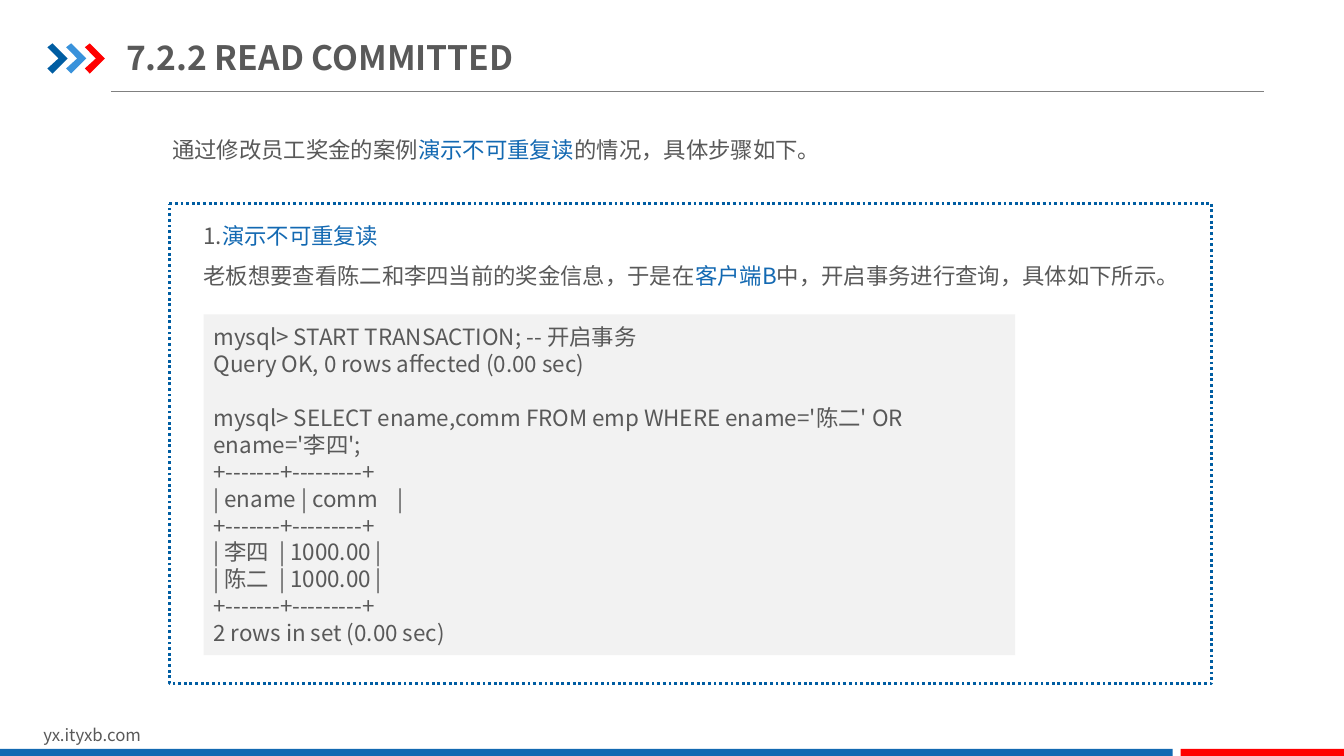
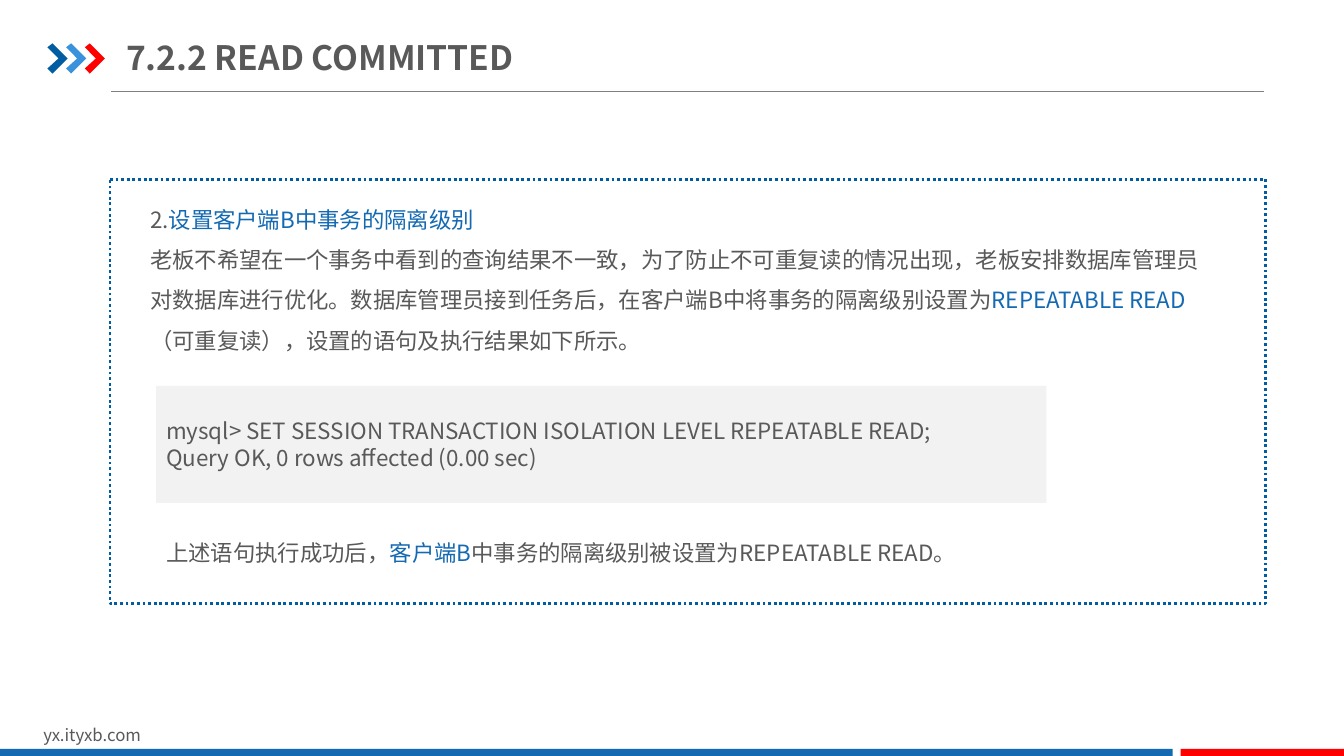
from dataclasses import dataclass

from lxml.etree import SubElement
from pptx import Presentation
from pptx.dml.color import RGBColor
from pptx.enum.dml import MSO_LINE
from pptx.enum.shapes import MSO_CONNECTOR, MSO_SHAPE
from pptx.enum.text import MSO_ANCHOR, MSO_AUTO_SIZE, PP_ALIGN
from pptx.oxml.ns import qn
from pptx.util import Inches, Pt

# Shared look
WIDTH, HEIGHT = Inches(13.33), Inches(7.5)
FONT = "Noto Sans CJK SC"
INK = RGBColor(0x59, 0x59, 0x59)
BLUE = RGBColor(0x13, 0x69, 0xB2)
NAVY = RGBColor(0x00, 0x5D, 0xA2)
SKY = RGBColor(0x39, 0x92, 0xDB)
RED = RGBColor(0xFF, 0x00, 0x00)
GREY = RGBColor(0x80, 0x80, 0x80)
PALE = RGBColor(0xF2, 0xF2, 0xF2)
WHITE = RGBColor(0xFF, 0xFF, 0xFF)
CODE_LINE = Pt(19.3)

TITLE_FORMAT = {"size": Pt(24), "bold": True}
BODY_FORMAT = {"size": Pt(16)}
FOOTER_FORMAT = {"size": Pt(12)}
CHEVRON = [(0, 0.13), (0.25, 0), (1, 0.5), (0.25, 1), (0, 0.83), (0.55, 0.5)]


@dataclass
class Box:
    """A region in percent of the slide's size."""
    left: float
    top: float
    width: float
    height: float

    def inner(self, left, top, width, height):
        """A region inside this one, in percent of its size."""
        return Box(self.left + self.width * left / 100,
                   self.top + self.height * top / 100,
                   self.width * width / 100, self.height * height / 100)

    def point(self, across, down):
        return (int(WIDTH * (self.left + self.width * across) / 100),
                int(HEIGHT * (self.top + self.height * down) / 100))

    def frame(self):
        left, top = self.point(0, 0)
        right, bottom = self.point(1, 1)
        return left, top, right - left, bottom - top


PAGE = Box(0, 0, 100, 100)


def set_values(target, values):
    for name, value in values.items():
        setattr(target, name, value)


def write(text_frame, lines, font_format, **para_format):
    """Fill a frame; words between asterisks are blue, an empty line is a gap."""
    text_frame.word_wrap = True
    gap, para = None, None
    for line in lines:
        if not line:
            gap = CODE_LINE
            continue
        para = text_frame.add_paragraph() if para else text_frame.paragraphs[0]
        set_values(para, {"alignment": PP_ALIGN.LEFT, "space_before": gap, **para_format})
        gap = None
        for index, words in enumerate(line.split("*")):
            if not words:
                continue
            span = para.add_run()
            span.text = words
            set_values(span.font, {"name": FONT, **font_format})
            span.font.color.rgb = BLUE if index % 2 else INK
            latin = span.font._element.find(qn("a:latin"))
            latin.addnext(latin.makeelement(qn("a:ea"), {"typeface": FONT}))


def add_block(page, box, fill, preset=MSO_SHAPE.RECTANGLE):
    block = page.shapes.add_shape(preset, *box.frame())
    block.shadow.inherit = False
    block.fill.solid()
    block.fill.fore_color.rgb = fill
    block.line.fill.background()
    return block


def add_text(page, box, lines, font_format=BODY_FORMAT, line_spacing=1.5):
    text_box = page.shapes.add_textbox(*box.frame())
    write(text_box.text_frame, lines, font_format, line_spacing=line_spacing)


def add_code(page, box, lines):
    block = add_block(page, box, PALE)
    block.text_frame.vertical_anchor = MSO_ANCHOR.MIDDLE
    write(block.text_frame, lines, BODY_FORMAT)


def add_panel(page, box):
    panel = add_block(page, box, WHITE, MSO_SHAPE.FLOWCHART_PROCESS)
    panel.line.color.rgb = NAVY
    set_values(panel.line, {"width": Pt(2), "dash_style": MSO_LINE.ROUND_DOT})


def add_chevrons(page, box):
    for index, colour in enumerate((NAVY, SKY, RED)):
        cell = box.inner(32.5 * index, 0, 35, 100)
        points = [cell.point(*corner) for corner in CHEVRON]
        builder = page.shapes.build_freeform(*points[0])
        builder.add_line_segments(points[1:], close=True)
        chevron = builder.convert_to_shape()
        chevron.shadow.inherit = False
        chevron.fill.solid()
        chevron.fill.fore_color.rgb = colour
        chevron.line.fill.background()


def add_header(page, box, title):
    # Rule under the title
    rule = page.shapes.add_connector(MSO_CONNECTOR.STRAIGHT,
                                     *box.point(0.0825, 1), *box.point(0.9407, 1))
    rule.line.color.rgb = GREY
    rule.line.width = Pt(0.75)
    SubElement(rule._element.spPr, qn("a:effectLst"))
    add_chevrons(page, box.inner(3.53, 47.25, 4.28, 33))
    # Title placeholder
    heading = page.shapes.title
    names = ("left", "top", "width", "height")
    set_values(heading, dict(zip(names, box.inner(9.38, 31.9, 36, 60.4).frame())))
    set_values(heading.text_frame, {
        "vertical_anchor": MSO_ANCHOR.MIDDLE, "auto_size": MSO_AUTO_SIZE.NONE,
        "margin_left": 0, "margin_right": 0,
        "margin_top": Inches(0.07), "margin_bottom": Inches(0.07)})
    write(heading.text_frame, [title], TITLE_FORMAT, line_spacing=1.0)


def add_footer(page, box):
    add_text(page, box.inner(2.48, 0, 23.86, 83), ["yx.ityxb.com"], FOOTER_FORMAT, 1.0)
    add_block(page, box.inner(0, 80.6, 87.25, 19.4), BLUE)
    add_block(page, box.inner(87.85, 80.6, 12.15, 19.4), RED)


def add_page(deck, title):
    page = deck.slides.add_slide(deck.slide_layouts[5])
    add_header(page, PAGE.inner(0, 0, 100, 12.13), title)
    add_footer(page, PAGE.inner(0, 95.2, 100, 4.8))
    return page


def build_query_region(page, box):
    add_panel(page, box)
    add_text(page, box.inner(2.32, 0, 95.26, 19.12), [
        "1.*演示不可重复读*",
        "老板想要查看陈二和李四当前的奖金信息，于是在*客户端B*中，开启事务进行查询，具体如下所示。",
    ])
    border = "+-------+---------+"
    add_code(page, box.inner(3.29, 23.11, 77.85, 71.01), [
        "mysql> START TRANSACTION; -- 开启事务",
        "Query OK, 0 rows affected (0.00 sec)",
        "",
        "mysql> SELECT ename,comm FROM emp WHERE ename='陈二' OR ename='李四';",
        border,
        "| ename | comm    |",
        border,
        "| 李四  | 1000.00 |",
        "| 陈二  | 1000.00 |",
        border,
        "2 rows in set (0.00 sec)",
    ])


def build_isolation_region(page, box):
    add_panel(page, box)
    add_text(page, box.inner(2.62, 1.9, 94.07, 40.86), [
        "2.*设置客户端B中事务的隔离级别*",
        "老板不希望在一个事务中看到的查询结果不一致，为了防止不可重复读的情况出现，"
        "老板安排数据库管理员对数据库进行优化。数据库管理员接到任务后，"
        "在客户端B中将事务的隔离级别设置为*REPEATABLE READ*"
        "（可重复读），设置的语句及执行结果如下所示。",
    ])
    add_code(page, box.inner(4.01, 48.69, 77.05, 27.55), [
        "mysql> SET SESSION TRANSACTION ISOLATION LEVEL REPEATABLE READ;",
        "Query OK, 0 rows affected (0.00 sec)",
    ])
    add_text(page, box.inner(4.01, 80.52, 90.66, 11.88), [
        "上述语句执行成功后，*客户端B*中事务的隔离级别被设置为REPEATABLE READ。",
    ])


def main():
    deck = Presentation()
    set_values(deck, {"slide_width": WIDTH, "slide_height": HEIGHT})
    title = "7.2.2 READ COMMITTED"

    # Showing the non-repeatable read
    page = add_page(deck, title)
    add_text(page, PAGE.inner(12.08, 15.6, 73.82, 6.67), [
        "通过修改员工奖金的案例*演示不可重复读*的情况，具体步骤如下。",
    ])
    build_query_region(page, PAGE.inner(12.6, 26.93, 77.57, 63.47))

    # Setting the isolation level
    page = add_page(deck, title)
    build_isolation_region(page, PAGE.inner(8.18, 23.73, 85.97, 56.13))

    deck.save("out.pptx")


if __name__ == "__main__":
    main()
